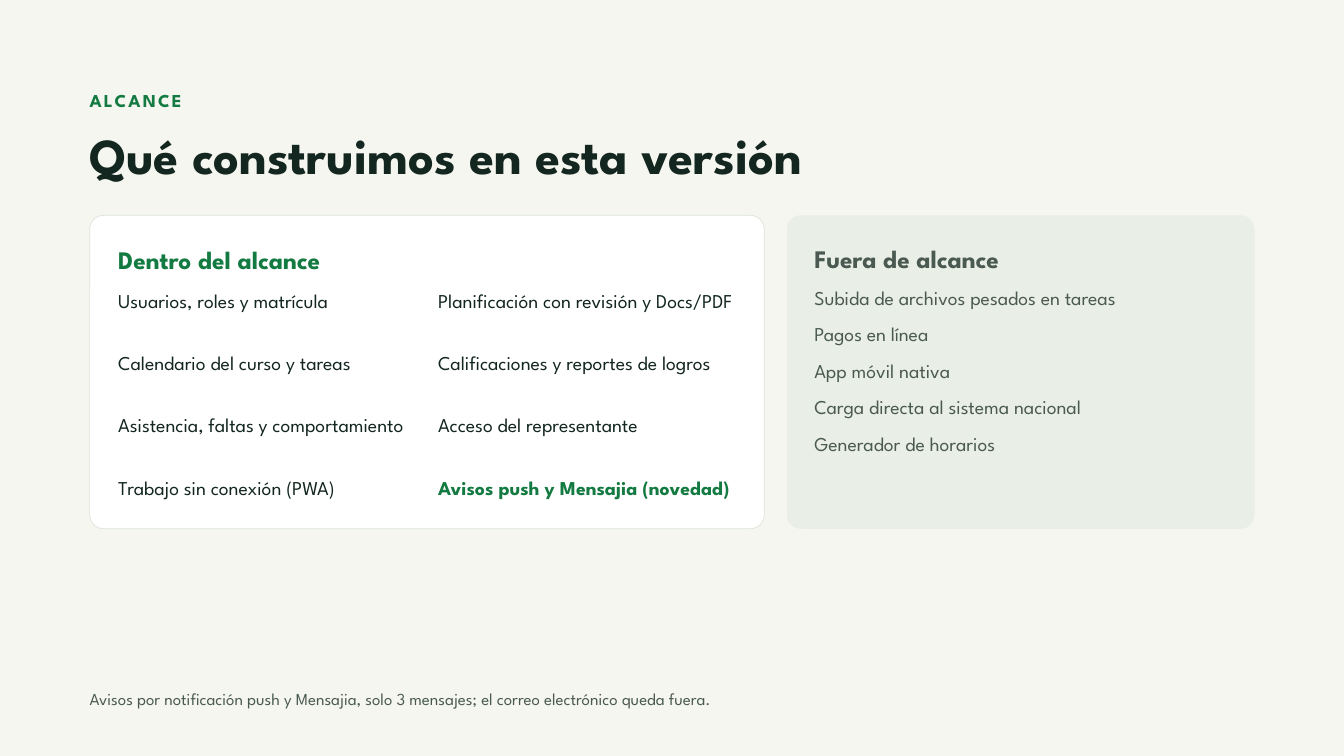
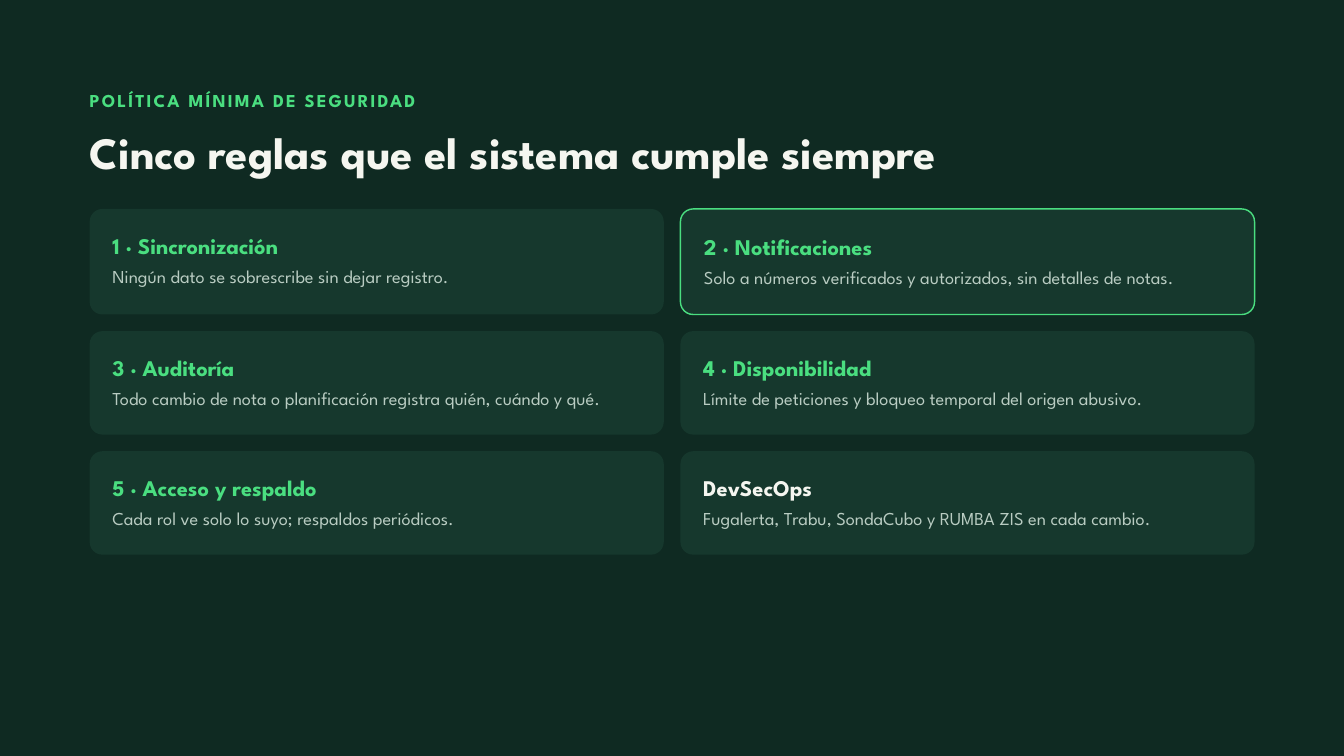
import pptx
import pptx.dml.color
import pptx.enum.shapes
import pptx.util

Cm = pptx.util.Cm
Pt = pptx.util.Pt

FONT = "League Spartan"
CREAM, FOREST, INK = "F5F6F0", "0F2A22", "13261F"
GREEN, MINT, GRAY, SAGE = "137A41", "4ADE80", "4A5A52", "B9CCC2"
WHITE, BORDER, MUTED, PANEL = "FFFFFF", "DCE3DA", "E9EEE6", "16382D"

LEFT = 3.39
FULL_WIDTH = 45.34

IN_SCOPE = [
    ("Usuarios, roles y matrícula", "Planificación con revisión y Docs/PDF"),
    ("Calendario del curso y tareas", "Calificaciones y reportes de logros"),
    ("Asistencia, faltas y comportamiento", "Acceso del representante"),
    ("Trabajo sin conexión (PWA)", "Avisos push y Mensajia (novedad)"),
]
OUT_OF_SCOPE = [
    "Subida de archivos pesados en tareas",
    "Pagos en línea",
    "App móvil nativa",
    "Carga directa al sistema nacional",
    "Generador de horarios",
]
RULES = [
    ("1 · Sincronización", "Ningún dato se sobrescribe sin dejar registro."),
    ("2 · Notificaciones", "Solo a números verificados y autorizados, sin detalles de notas."),
    ("3 · Auditoría", "Todo cambio de nota o planificación registra quién, cuándo y qué."),
    ("4 · Disponibilidad", "Límite de peticiones y bloqueo temporal del origen abusivo."),
    ("5 · Acceso y respaldo", "Cada rol ve solo lo suyo; respaldos periódicos."),
    ("DevSecOps", "Fugalerta, Trabu, SondaCubo y RUMBA ZIS en cada cambio."),
]


def rgb(value):
    return pptx.dml.color.RGBColor.from_string(value)


def add_text(s, text, x, y, width, height, size, leading, color, bold=False, spacing=0):
    sp = s.shapes.add_textbox(Cm(x), Cm(y), Cm(width), Cm(height))
    tf = sp.text_frame
    tf.word_wrap = True
    tf.margin_left = tf.margin_right = tf.margin_top = tf.margin_bottom = 0
    tf.text = text
    p = tf.paragraphs[0]
    p.line_spacing = Pt(leading)
    r = p.runs[0]
    r.font.name = FONT
    r.font.size = Pt(size)
    r.font.bold = bold
    r.font.color.rgb = rgb(color)
    if spacing:
        r._r.get_or_add_rPr().set("spc", str(round(spacing * 100)))


def add_card(s, x, y, width, height, radius, fill, line=None, line_width=0.75):
    kind = pptx.enum.shapes.MSO_SHAPE.ROUNDED_RECTANGLE
    sp = s.shapes.add_shape(kind, Cm(x), Cm(y), Cm(width), Cm(height))
    sp.adjustments[0] = radius / min(width, height)
    sp.shadow.inherit = False
    sp.fill.solid()
    sp.fill.fore_color.rgb = rgb(fill)
    if line:
        sp.line.color.rgb = rgb(line)
        sp.line.width = Pt(line_width)
    else:
        sp.line.fill.background()


def add_slide(prs, background, label, label_color, title, title_color, title_size):
    s = prs.slides.add_slide(prs.slide_layouts[6])
    s.background.fill.solid()
    s.background.fill.fore_color.rgb = rgb(background)
    add_text(s, label, LEFT, 3.25, FULL_WIDTH, 1.19, 19.5, 27.3, label_color, True, 2.2)
    add_text(s, title, LEFT, 4.88, FULL_WIDTH, 2, title_size, title_size * 1.1, title_color, True)
    return s


def add_heading(s, text, x, y, width, color):
    add_text(s, text, x, y, width, 1.24, 27, 32.4, color, True)


def add_item(s, text, x, y, width, color, bold=False):
    add_text(s, text, x, y, width, 1.12, 21, 27.3, color, bold)


def add_rule(s, x, y, height, heading, body, heading_color, outlined):
    pad = 0.03 if outlined else 0
    add_card(s, x, y, 21.7, height, 0.48, PANEL, MINT if outlined else None, 1.5)
    add_text(s, heading, x + 0.86 + pad, y + 0.88 + pad, 20.6, 1.09, 24, 28.8, heading_color, True)
    add_text(s, body, x + 0.86 + pad, y + 2.02 + pad, 20.8, 1.14, 19.5, 26.3, SAGE)


def build_scope(prs):
    s = add_slide(prs, CREAM, "ALCANCE", GREEN, "Qué construimos en esta versión", INK, 54)
    add_card(s, LEFT, 8.14, 25.5, 11.85, 0.53, WHITE, BORDER)
    add_heading(s, "Dentro del alcance", 4.47, 9.22, 24.05, GREEN)
    for row, items in enumerate(IN_SCOPE):
        for col, text in enumerate(items):
            is_new = text.endswith("(novedad)")
            add_item(s, text, 4.47 + 12.09 * col, 10.85 + 2.35 * row, 11.8,
                     GREEN if is_new else INK, is_new)
    add_card(s, 29.74, 8.14, 17.68, 11.85, 0.53, MUTED)
    add_heading(s, "Fuera de alcance", 30.78, 9.19, 16.03, GRAY)
    for row, text in enumerate(OUT_OF_SCOPE):
        add_item(s, text, 30.78, 10.72 + 1.38 * row, 16.03, GRAY)
    add_text(s, "Avisos por notificación push y Mensajia, solo 3 mensajes; "
             "el correo electrónico queda fuera.",
             LEFT, 25.91, FULL_WIDTH, 1.07, 18, 25.2, GRAY)


def build_security(prs):
    s = add_slide(prs, FOREST, "POLÍTICA MÍNIMA DE SEGURIDAD", MINT,
                  "Cinco reglas que el sistema cumple siempre", CREAM, 48)
    y = 7.9
    for row, height in enumerate((3.99, 3.91, 3.91)):
        for col, (heading, body) in enumerate(RULES[2 * row:2 * row + 2]):
            color = CREAM if heading == "DevSecOps" else MINT
            add_rule(s, LEFT + 22.33 * col, y, height, heading, body, color,
                     heading == "2 · Notificaciones")
        y += height + 0.63


def main():
    prs = pptx.Presentation()
    prs.slide_width = Cm(50.8)
    prs.slide_height = Cm(28.58)
    build_scope(prs)
    build_security(prs)
    prs.save("out.pptx")


if __name__ == "__main__":
    main()
